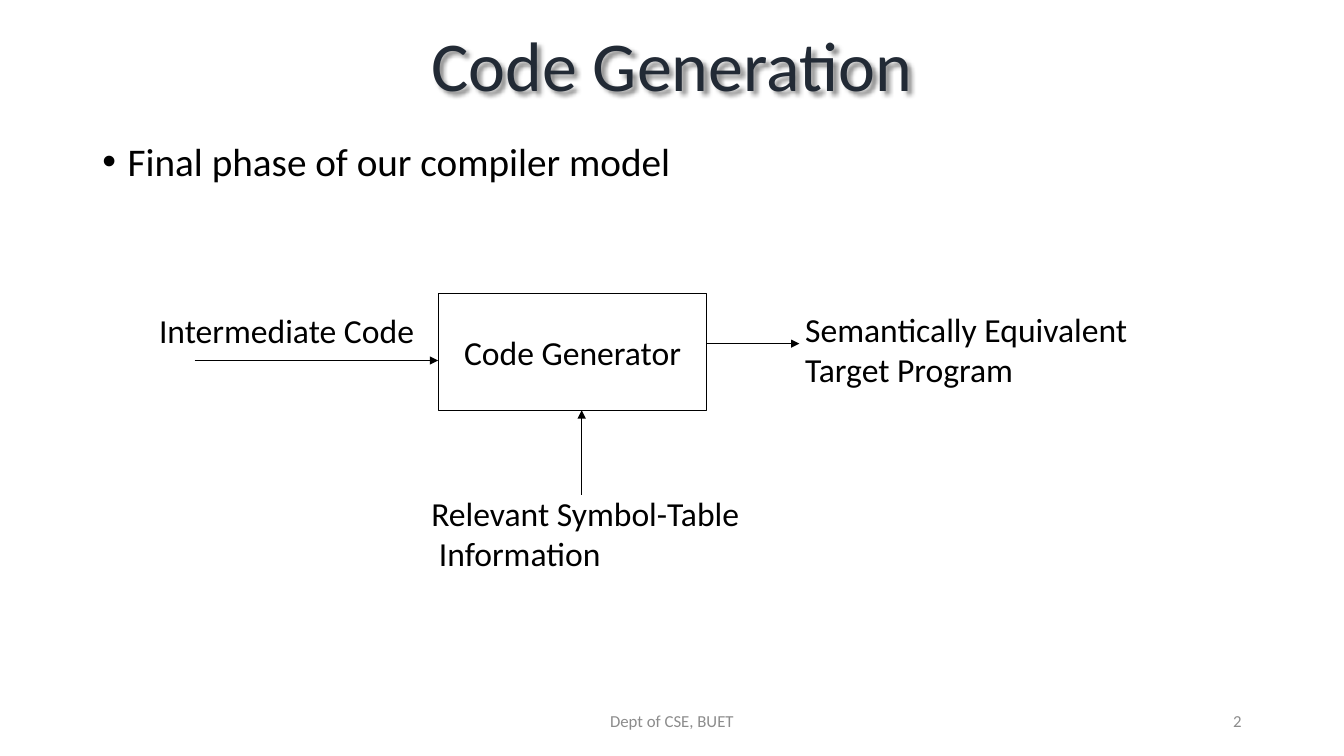
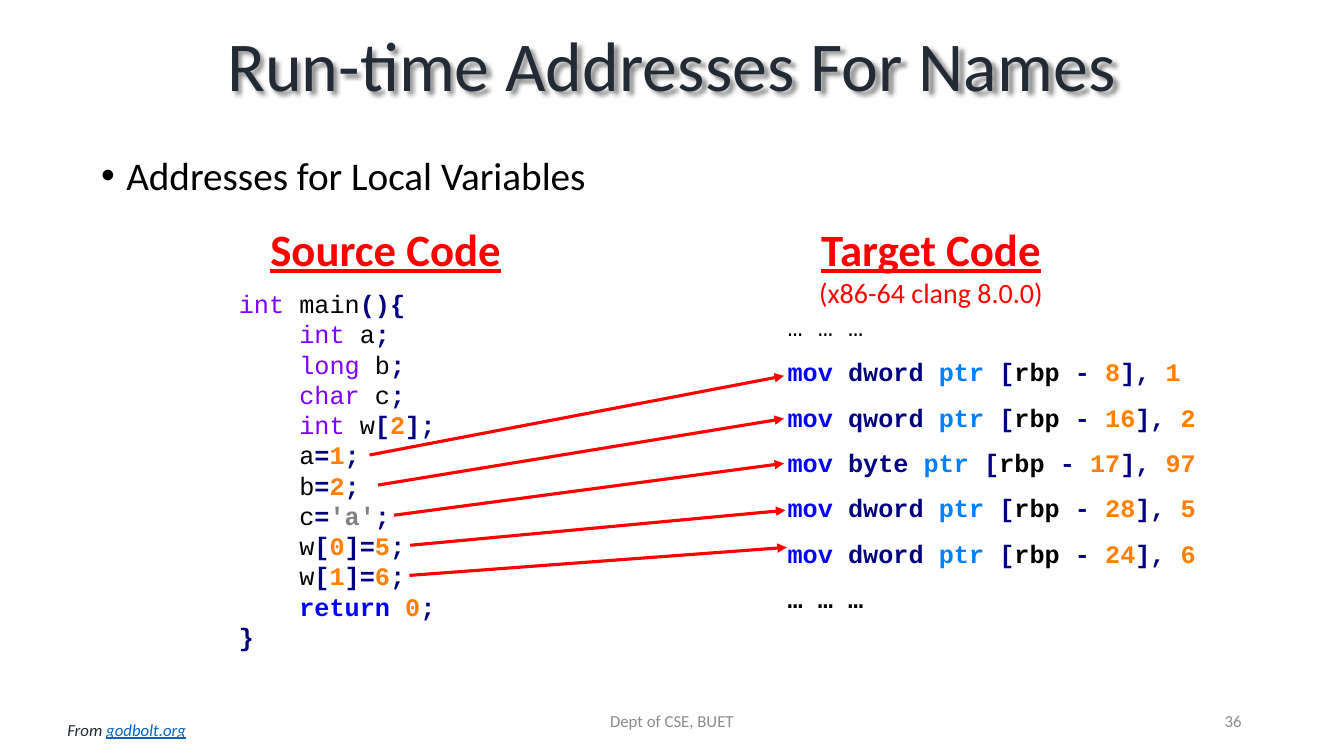
from itertools import groupby

from pptx import Presentation
from pptx.dml.color import RGBColor
from pptx.enum.shapes import MSO_CONNECTOR, MSO_SHAPE
from pptx.enum.text import MSO_ANCHOR, PP_ALIGN
from pptx.oxml import parse_xml
from pptx.oxml.ns import nsdecls, qn
from pptx.util import Pt

BLACK = RGBColor(0x00, 0x00, 0x00)
SLATE = RGBColor(0x22, 0x2A, 0x35)
GREY = RGBColor(0x8C, 0x8C, 0x8C)
RED = RGBColor(0xFF, 0x00, 0x00)
LINK = RGBColor(0x05, 0x63, 0xC1)
BLUE = RGBColor(0x00, 0x00, 0xFF)
NAVY = RGBColor(0x00, 0x00, 0x80)
SKY = RGBColor(0x00, 0x80, 0xFF)
VIOLET = RGBColor(0x80, 0x00, 0xFF)
ORANGE = RGBColor(0xFF, 0x80, 0x00)
ASH = RGBColor(0x80, 0x80, 0x80)

BASE = {"name": "Calibri", "color": BLACK}
TITLE = BASE | {"size": Pt(50), "color": SLATE}
LIST = BASE | {"size": Pt(28)}
LABEL = BASE | {"size": Pt(24)}
FOOT = BASE | {"size": Pt(12), "color": GREY}
HEAD = BASE | {"size": Pt(32), "color": RED, "bold": True, "underline": True}
SUB = BASE | {"size": Pt(20), "color": RED}
CREDIT = BASE | {"size": Pt(12), "color": SLATE, "italic": True}
CODE = BASE | {"name": "Courier New", "size": Pt(18)}

# Colour and weight of each word in the listings
WORDS = {
    "int": (VIOLET, False), "long": (VIOLET, False), "char": (VIOLET, False),
    "mov": (BLUE, True), "return": (BLUE, True), "ptr": (SKY, True),
    "dword": (NAVY, True), "qword": (NAVY, True), "byte": (NAVY, True),
    "rbp": (BLACK, True), "'a'": (ASH, True),
}

SOURCE = """int main(){
    int a;
    long b;
    char c;
    int w[2];
    a=1;
    b=2;
    c='a';
    w[0]=5;
    w[1]=6;
    return 0;
}"""

TARGET = """… … …
mov dword ptr [rbp - 8], 1
mov qword ptr [rbp - 16], 2
mov byte ptr [rbp - 17], 97
mov dword ptr [rbp - 28], 5
mov dword ptr [rbp - 24], 6
… … …"""

SHADOW = (
    f'<a:effectLst {nsdecls("a")}><a:outerShdw blurRad="38100" dist="38100" '
    'dir="2700000" algn="tl"><a:srgbClr val="000000"><a:alpha val="43000"/>'
    "</a:srgbClr></a:outerShdw></a:effectLst>"
)


def place(shape, at):
    for side, value in zip(("left", "top", "width", "height"), at):
        setattr(shape, side, Pt(value))


def add_run(para, text, form):
    run = para.add_run()
    run.text = text
    for key, value in form.items():
        if key == "color":
            run.font.color.rgb = value
        else:
            setattr(run.font, key, value)


def fill_text(frame, lines, align=PP_ALIGN.LEFT, anchor=MSO_ANCHOR.TOP, space=1.0):
    """Write lines, each a list of (text, format) runs."""
    frame.word_wrap = True
    frame.vertical_anchor = anchor
    for i, line in enumerate(lines):
        para = frame.add_paragraph() if i else frame.paragraphs[0]
        para.alignment = align
        para.line_spacing = space
        para.space_before = Pt(0)
        for text, form in line:
            add_run(para, text, form)


def add_text(slide, at, lines, **opts):
    box = slide.shapes.add_textbox(*map(Pt, at))
    fill_text(box.text_frame, lines, **opts)
    return box.text_frame


def set_indent(para, left, first=0):
    props = para._p.get_or_add_pPr()
    props.set("marL", str(Pt(left)))
    props.set("indent", str(Pt(first)))


def add_arrow(slide, start, end, color=BLACK, width=0.75):
    line = slide.shapes.add_connector(
        MSO_CONNECTOR.STRAIGHT, *map(Pt, (*start, *end)))
    line.line.color.rgb = color
    line.line.width = Pt(width)
    props = line.element.spPr
    props.find(qn("a:ln")).append(
        parse_xml(f'<a:tailEnd {nsdecls("a")} type="triangle"/>'))
    props.append(parse_xml(f'<a:effectLst {nsdecls("a")}/>'))


def char_kind(char):
    if char.isspace():
        return "space"
    return "word" if char.isalnum() or char in "'…" else "sign"


def paint(line):
    """Split a line of code into coloured runs."""
    runs = []
    for kind, chars in groupby(line, char_kind):
        text = "".join(chars)
        if kind == "sign":
            color, bold = NAVY, True
        elif text.isdigit():
            color, bold = ORANGE, True
        else:
            color, bold = WORDS.get(text, (BLACK, False))
        runs.append((text, CODE | {"color": color, "bold": bold}))
    return runs


def add_code(slide, at, code, space=1.0):
    return add_text(slide, at, map(paint, code.splitlines()), space=space)


def add_page(deck, title, point, top, number):
    """Add a slide with title, one bullet, footer and number."""
    slide = deck.slides.add_slide(deck.slide_layouts[1])
    head, body = slide.placeholders
    place(head, (66, 1, 828, 96))
    fill_text(head.text_frame, [[(title, TITLE)]], align=PP_ALIGN.CENTER,
              anchor=MSO_ANCHOR.MIDDLE, space=0.9)
    head.element.spPr.append(parse_xml(SHADOW))
    place(body, (66, top, 828, 50))
    fill_text(body.text_frame, [[(point, LIST)]], space=0.9)
    set_indent(body.text_frame.paragraphs[0], 18, -18)
    for at, text, align in (
        ((318, 500, 324, 29), "Dept of CSE, BUET", PP_ALIGN.CENTER),
        ((678, 500, 216, 29), number, PP_ALIGN.RIGHT),
    ):
        add_text(slide, at, [[(text, FOOT)]], align=align,
                 anchor=MSO_ANCHOR.MIDDLE)
    return slide


def add_phase(deck):
    slide = add_page(deck, "Code Generation", "Final phase of our compiler model",
                     98, "2")
    box = slide.shapes.add_shape(
        MSO_SHAPE.RECTANGLE, *map(Pt, (313, 209.5, 192, 83.5)))
    box.shadow.inherit = False
    box.fill.background()
    box.line.color.rgb = BLACK
    box.line.width = Pt(0.75)
    fill_text(box.text_frame, [[("Code Generator", LABEL)]],
              align=PP_ALIGN.CENTER, anchor=MSO_ANCHOR.MIDDLE)
    for start, end in (
        ((139, 257.5), (313, 257.5)),
        ((415.5, 353.5), (415.5, 293)),
        ((505, 245.5), (571, 245.5)),
    ):
        add_arrow(slide, start, end)
    add_text(slide, (106.5, 217.5, 206, 36), [[("Intermediate Code", LABEL)]])
    add_text(slide, (568, 217, 256, 66),
             [[("Semantically Equivalent", LABEL)], [("Target Program", LABEL)]])
    table = add_text(slide, (301, 348.5, 247, 66),
                     [[("Relevant Symbol-Table", LABEL)], [("Information", LABEL)]])
    set_indent(table.paragraphs[1], 5.4)


def add_names(deck):
    slide = add_page(deck, "Run-time Addresses For Names",
                     "Addresses for Local Variables", 108, "36")
    slide.placeholders[1].left = Pt(65)
    add_text(slide, (173, 155, 205, 46), [[("Source Code", HEAD)]],
             align=PP_ALIGN.CENTER)
    add_text(slide, (525.5, 155, 279, 71),
             [[("Target Code", HEAD)], [("(x86-64 clang 8.0.0)", SUB)]],
             align=PP_ALIGN.CENTER)
    add_code(slide, (163.5, 202.5, 259, 269), SOURCE)
    target = add_code(slide, (555.5, 208, 362, 236), TARGET, space=1.5)
    for run in target.paragraphs[-1].runs:
        run.font.bold = True
    ends = (
        (264, 560, 268.5), (270, 560, 299), (281.5, 560, 331),
        (293, 561, 364.5), (292.5, 562, 391),
    )
    for i, (left, right, bottom) in enumerate(ends):
        add_arrow(slide, (left, 325 + 21.5 * i), (right, bottom), RED, 2.25)
    add_text(slide, (41, 510.5, 103, 22),
             [[("From ", CREDIT),
               ("godbolt.org", CREDIT | {"color": LINK, "underline": True})]])


def main():
    deck = Presentation()
    deck.slide_width, deck.slide_height = Pt(960), Pt(540)
    add_phase(deck)
    add_names(deck)
    deck.save("out.pptx")


if __name__ == "__main__":
    main()
